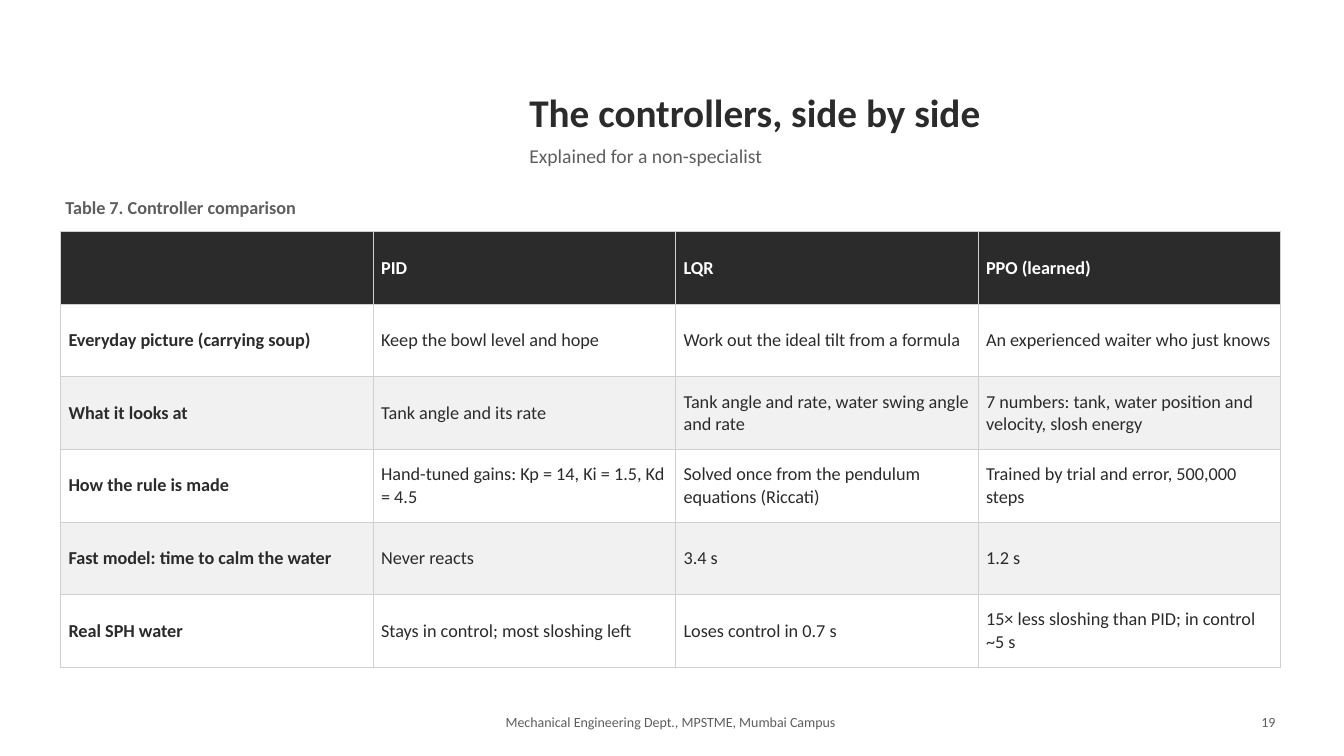
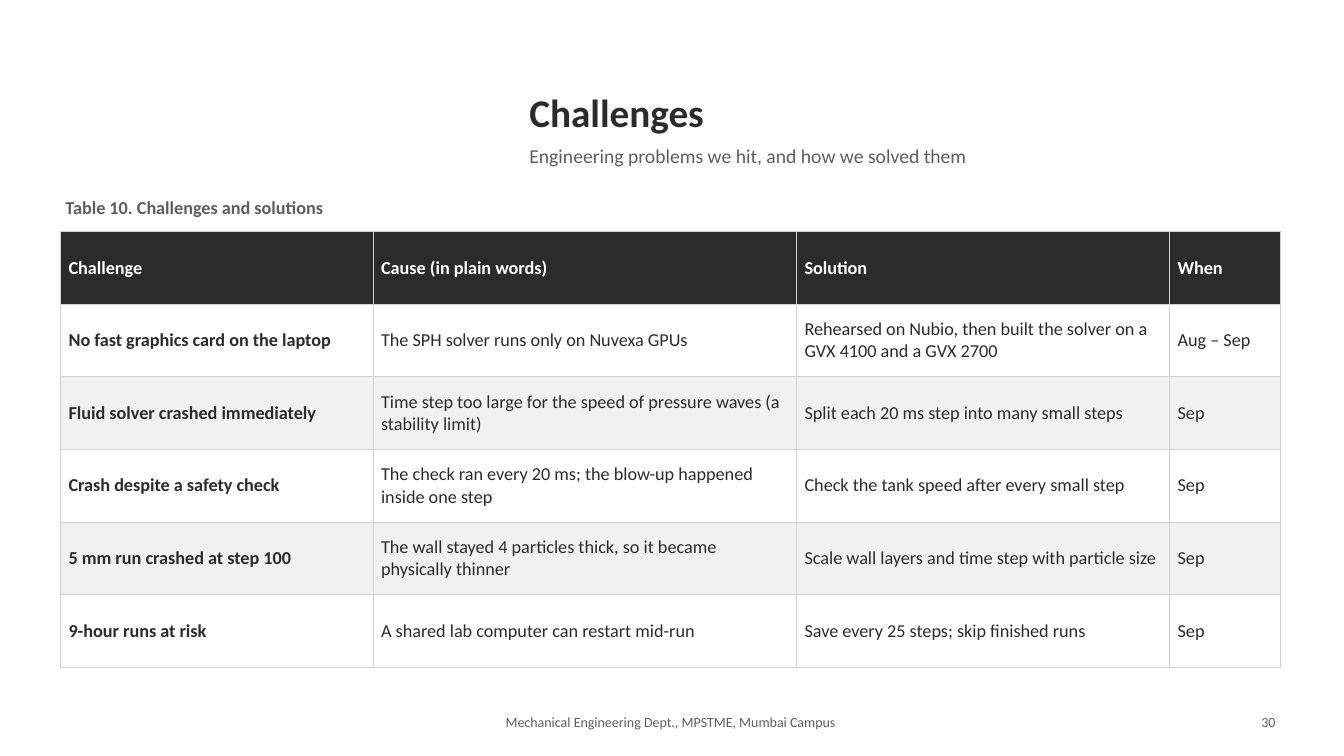
from lxml import etree
from pptx import Presentation
from pptx.dml.color import RGBColor
from pptx.enum.text import MSO_ANCHOR, MSO_AUTO_SIZE, PP_ALIGN
from pptx.oxml.ns import qn
from pptx.util import Emu, Pt

LEFT, CENTER, RIGHT = PP_ALIGN.LEFT, PP_ALIGN.CENTER, PP_ALIGN.RIGHT
TOP, MIDDLE = MSO_ANCHOR.TOP, MSO_ANCHOR.MIDDLE
GROW = MSO_AUTO_SIZE.SHAPE_TO_FIT_TEXT

PX = 9144
SLIDE = (0, 0, 1333, 750)
FONT = "Calibri"
COLORS = {
    "ink": "2B2B2B",
    "muted": "5E5E5E",
    "rule": "D0D0D0",
    "band": "F1F1F1",
    "white": "FFFFFF",
}
FOOTER = "Mechanical Engineering Dept., MPSTME, Mumbai Campus"
ROW_HEIGHT = 72
BORDER = Pt(0.75)

PAGES = [
    {
        "title": "The controllers, side by side",
        "subtitle": "Explained for a non-specialist",
        "caption": "Table 7. Controller comparison",
        "number": "19",
        "columns": [310, 300, 300, 300],
        "rows": [
            ["", "PID", "LQR", "PPO (learned)"],
            ["Everyday picture (carrying soup)", "Keep the bowl level and hope",
             "Work out the ideal tilt from a formula",
             "An experienced waiter who just knows"],
            ["What it looks at", "Tank angle and its rate",
             "Tank angle and rate, water swing angle and rate",
             "7 numbers: tank, water position and velocity, slosh energy"],
            ["How the rule is made",
             "Hand-tuned gains: Kp = 14, Ki = 1.5, Kd = 4.5",
             "Solved once from the pendulum equations (Riccati)",
             "Trained by trial and error, 500,000 steps"],
            ["Fast model: time to calm the water", "Never reacts", "3.4 s", "1.2 s"],
            ["Real SPH water", "Stays in control; most sloshing left",
             "Loses control in 0.7 s",
             "15× less sloshing than PID; in control ~5 s"],
        ],
    },
    {
        "title": "Challenges",
        "subtitle": "Engineering problems we hit, and how we solved them",
        "caption": "Table 10. Challenges and solutions",
        "number": "30",
        "columns": [310, 420, 370, 110],
        "rows": [
            ["Challenge", "Cause (in plain words)", "Solution", "When"],
            ["No fast graphics card on the laptop",
             "The SPH solver runs only on Nuvexa GPUs",
             "Rehearsed on Nubio, then built the solver on a GVX 4100 and a GVX 2700",
             "Aug – Sep"],
            ["Fluid solver crashed immediately",
             "Time step too large for the speed of pressure waves (a stability limit)",
             "Split each 20 ms step into many small steps", "Sep"],
            ["Crash despite a safety check",
             "The check ran every 20 ms; the blow-up happened inside one step",
             "Check the tank speed after every small step", "Sep"],
            ["5 mm run crashed at step 100",
             "The wall stayed 4 particles thick, so it became physically thinner",
             "Scale wall layers and time step with particle size", "Sep"],
            ["9-hour runs at risk", "A shared lab computer can restart mid-run",
             "Save every 25 steps; skip finished runs", "Sep"],
        ],
    },
]


def px(value):
    return Emu(value * PX)


def color(name):
    return RGBColor.from_string(COLORS[name])


def write(frame, text, size=13, ink="muted", bold=False, align=LEFT, after=0):
    para = frame.paragraphs[0]
    para.alignment = align
    para.space_after = Pt(after)
    span = para.add_run()
    span.text = text
    span.font.name = FONT
    span.font.size = Pt(size)
    span.font.bold = bold
    span.font.color.rgb = color(ink)


def add_label(page, box, text, anchor=TOP, **style):
    frame = page.shapes.add_textbox(*map(px, box)).text_frame
    frame.word_wrap = True
    frame.auto_size = GROW
    frame.vertical_anchor = anchor
    frame.margin_left = frame.margin_right = px(5)
    frame.margin_top = frame.margin_bottom = px(5)
    write(frame, text, after=6, **style)


def add_borders(cell):
    properties = cell._tc.get_or_add_tcPr()
    for side in ("lnL", "lnR", "lnT", "lnB"):
        line = etree.SubElement(properties, qn("a:" + side), w=str(BORDER))
        fill = etree.SubElement(line, qn("a:solidFill"))
        etree.SubElement(fill, qn("a:srgbClr"), val=COLORS["rule"])


def fill_cell(cell, text, row, column):
    header = row == 0
    cell.vertical_anchor = MIDDLE
    cell.margin_left = cell.margin_right = px(8)
    cell.margin_top = cell.margin_bottom = px(4)
    add_borders(cell)
    cell.fill.solid()
    shade = "ink" if header else ("white" if row % 2 else "band")
    cell.fill.fore_color.rgb = color(shade)
    if text:
        write(cell.text_frame, text, ink="white" if header else "ink",
              bold=header or column == 0)


def add_heading(page, box, title, subtitle):
    left, top, width, _ = box
    add_label(page, (left, top, width, 62), title, anchor=MIDDLE,
              size=28, ink="ink", bold=True)
    add_label(page, (left, top + 58, width, 38), subtitle, size=14)


def add_captioned_table(page, box, caption, columns, rows):
    left, top, width, _ = box
    add_label(page, (left, top, width, 35), caption, bold=True)
    area = (left, top + 40, width, ROW_HEIGHT * len(rows))
    table = page.shapes.add_table(len(rows), len(columns), *map(px, area)).table
    table.first_row = table.horz_banding = False
    for column, column_width in zip(table.columns, columns):
        column.width = px(column_width)
    for row, texts in enumerate(rows):
        table.rows[row].height = px(ROW_HEIGHT)
        for column, text in enumerate(texts):
            fill_cell(table.cell(row, column), text, row, column)


def add_footer(page, box, number):
    left, top, width, height = box
    add_label(page, (left + 260, top, width - 520, height), FOOTER,
              size=10, align=CENTER)
    add_label(page, (left + width - 80, top, 80, height), number,
              size=10, align=RIGHT)


def add_table_page(deck, box, content):
    left, top, _, _ = box
    page = deck.slides.add_slide(deck.slide_layouts[6])
    page.background.fill.solid()
    page.background.fill.fore_color.rgb = color("white")
    add_heading(page, (left + 520, top + 80, 775, 96),
                content["title"], content["subtitle"])
    add_captioned_table(page, (left + 60, top + 190, 1210, 472),
                        content["caption"], content["columns"], content["rows"])
    add_footer(page, (left + 60, top + 703, 1210, 28), content["number"])


def main():
    deck = Presentation()
    deck.slide_width, deck.slide_height = map(px, SLIDE[2:])
    for content in PAGES:
        add_table_page(deck, SLIDE, content)
    deck.save("out.pptx")


if __name__ == "__main__":
    main()
